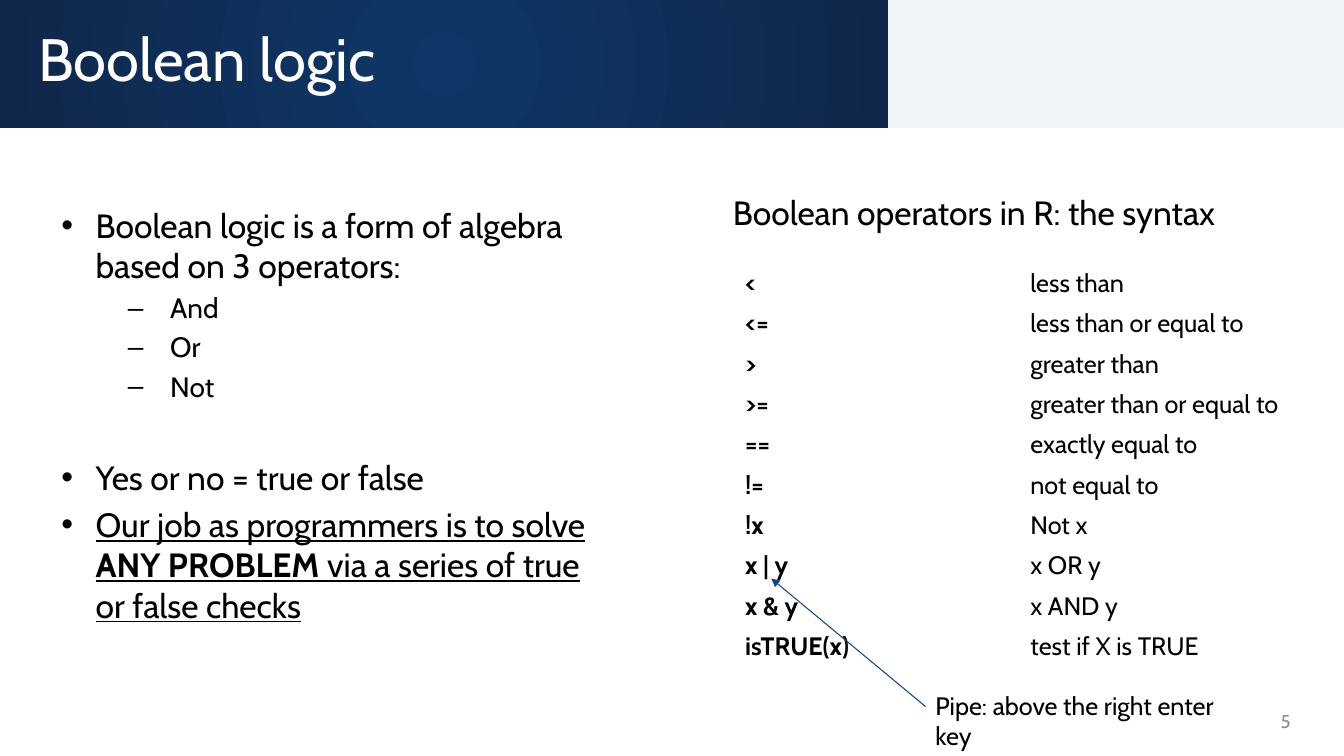
from lxml import etree
from pptx import Presentation
from pptx.dml.color import RGBColor
from pptx.enum import shapes, text
from pptx.oxml import parse_xml
from pptx.oxml.ns import nsdecls, qn
from pptx.util import Inches, Pt

FONT = "Cabin"
WHITE = RGBColor(0xFF, 0xFF, 0xFF)
BLACK = RGBColor(0x00, 0x00, 0x00)
PALE = RGBColor(0xF0, 0xF4, 0xF8)
NAVY = RGBColor(0x0E, 0x37, 0x67)
DARK_NAVY = RGBColor(0x10, 0x27, 0x4A)
ARROW_BLUE = RGBColor(0x0F, 0x48, 0x7E)
GREY = RGBColor(0x8C, 0x8C, 0x8C)

OPERATORS = [
    ("<", "less than"),
    ("<=", "less than or equal to"),
    (">", "greater than"),
    (">=", "greater than or equal to"),
    ("==", "exactly equal to"),
    ("!=", "not equal to"),
    ("!x", "Not x"),
    ("x | y", "x OR y"),
    ("x & y", "x AND y"),
    ("isTRUE(x)", "test if X is TRUE"),
]

# level, space before in points, runs of (text, underlined, bold)
BULLETS = [
    (0, 0, [("Boolean logic is a form of algebra based on 3 operators:", False, False)]),
    (1, 4, [("And", False, False)]),
    (1, 4, [("Or", False, False)]),
    (1, 4, [("Not", False, False)]),
    (0, 38.7, [("Yes or no = true or false", False, False)]),
    (0, 4.8, [("Our job as programmers is to solve ", True, False),
              ("ANY PROBLEM ", True, True),
              ("via a series of true or false checks", True, False)]),
]
# per level: bullet, size, left margin, hanging indent
LEVELS = [("•", 24, 0.34, 0.34), ("–", 20, 1.08, 0.42)]


def style(r, size, color=BLACK, bold=False):
    r.font.name = FONT
    r.font.size = Pt(size)
    r.font.color.rgb = color
    r.font.bold = bold


def add_band(s, left, width):
    sp = s.shapes.add_shape(shapes.MSO_SHAPE.RECTANGLE, Inches(left), 0,
                            Inches(width), Inches(1.27))
    sp.shadow.inherit = False
    sp.line.fill.background()
    return sp


def fill_pale(sp):
    sp.fill.solid()
    sp.fill.fore_color.rgb = PALE
    color = sp.fill._xPr.find(".//" + qn("a:srgbClr"))
    etree.SubElement(color, qn("a:alpha")).set("val", "90000")


def fill_radial(sp, inner, outer):
    sp.fill.gradient()
    for stop, color, position in zip(sp.fill.gradient_stops, (inner, outer), (0, 1)):
        stop.color.rgb = color
        stop.position = position
    grad = sp.fill._xPr.find(qn("a:gradFill"))
    grad.replace(grad.find(qn("a:lin")), parse_xml(
        f'<a:path {nsdecls("a")} path="circle">'
        '<a:fillToRect l="50000" t="50000" r="50000" b="50000"/></a:path>'))


def add_text_frame(s, left, top, width, height, anchor=text.MSO_ANCHOR.TOP):
    sp = s.shapes.add_textbox(Inches(left), Inches(top), Inches(width), Inches(height))
    tf = sp.text_frame
    tf.word_wrap = True
    tf.vertical_anchor = anchor
    return tf


def add_label(s, box, label, size, color=BLACK, **frame):
    tf = add_text_frame(s, *box, **frame)
    tf.text = label
    p = tf.paragraphs[0]
    style(p.runs[0], size, color)
    return p


def set_bullet(p, char, margin, hanging):
    pPr = p._p.get_or_add_pPr()
    pPr.set("marL", str(Inches(margin)))
    pPr.set("indent", str(-Inches(hanging)))
    etree.SubElement(pPr, qn("a:buFont")).set("typeface", "Arial")
    etree.SubElement(pPr, qn("a:buChar")).set("char", char)


def add_bullets(s):
    tf = add_text_frame(s, 0.51, 1.98, 5.67, 4.76)
    for i, (level, before, runs) in enumerate(BULLETS):
        p = tf.add_paragraph() if i else tf.paragraphs[0]
        char, size, margin, hanging = LEVELS[level]
        p.level = level
        p.space_before = Pt(before)
        set_bullet(p, char, margin, hanging)
        for words, underlined, bold in runs:
            r = p.add_run()
            r.text = words
            style(r, size, bold=bold)
            r.font.underline = underlined


def add_operator_table(s):
    table = s.shapes.add_table(len(OPERATORS), 2, Inches(7.27), Inches(2.61),
                               Inches(5.63), Inches(4)).table
    table.first_row = table.horz_banding = False
    for column, width in zip(table.columns, (2.83, 2.8)):
        column.width = Inches(width)
    for i, row in enumerate(OPERATORS):
        for j, words in enumerate(row):
            cell = table.cell(i, j)
            cell.fill.background()
            cell.margin_left = cell.margin_right = Inches(0.12)
            cell.margin_top = cell.margin_bottom = Inches(0.05)
            cell.text = words
            style(cell.text_frame.paragraphs[0].runs[0], 18, bold=j == 0)
            tcPr = cell._tc.get_or_add_tcPr()
            for k, side in enumerate(("lnL", "lnR", "lnT", "lnB")):
                tcPr.insert(k, parse_xml(
                    f'<a:{side} {nsdecls("a")} w="0"><a:noFill/></a:{side}>'))


def add_arrow(s, x1, y1, x2, y2):
    line = s.shapes.add_connector(shapes.MSO_CONNECTOR.STRAIGHT, Inches(x1), Inches(y1),
                                  Inches(x2), Inches(y2))
    line.line.color.rgb = ARROW_BLUE
    line.line.width = Pt(0.75)
    etree.SubElement(line.line._get_or_add_ln(), qn("a:tailEnd")).set("type", "triangle")
    etree.SubElement(line._element.spPr, qn("a:effectLst"))


def main():
    prs = Presentation()
    prs.slide_width, prs.slide_height = Inches(13.33), Inches(7.5)
    s = prs.slides.add_slide(prs.slide_layouts[6])

    fill_pale(add_band(s, 8.81, 4.52))
    fill_radial(add_band(s, 0, 8.81), NAVY, DARK_NAVY)
    title = add_label(s, (0.28, 0.1, 8.26, 1.08), "Boolean logic", 42.7, WHITE,
                      anchor=text.MSO_ANCHOR.MIDDLE)
    title.line_spacing = 0.8

    add_operator_table(s)
    add_bullets(s)
    add_label(s, (7.17, 1.85, 5.64, 0.5), "Boolean operators in R: the syntax", 24)
    add_label(s, (9.18, 6.8, 3.37, 0.4), "Pipe: above the right enter key", 18)
    add_arrow(s, 9.18, 7.01, 7.65, 5.74)
    number = add_label(s, (9.48, 6.95, 3.42, 0.4), "5", 13.3, GREY,
                       anchor=text.MSO_ANCHOR.MIDDLE)
    number.alignment = text.PP_ALIGN.RIGHT

    prs.save("out.pptx")


if __name__ == "__main__":
    main()
